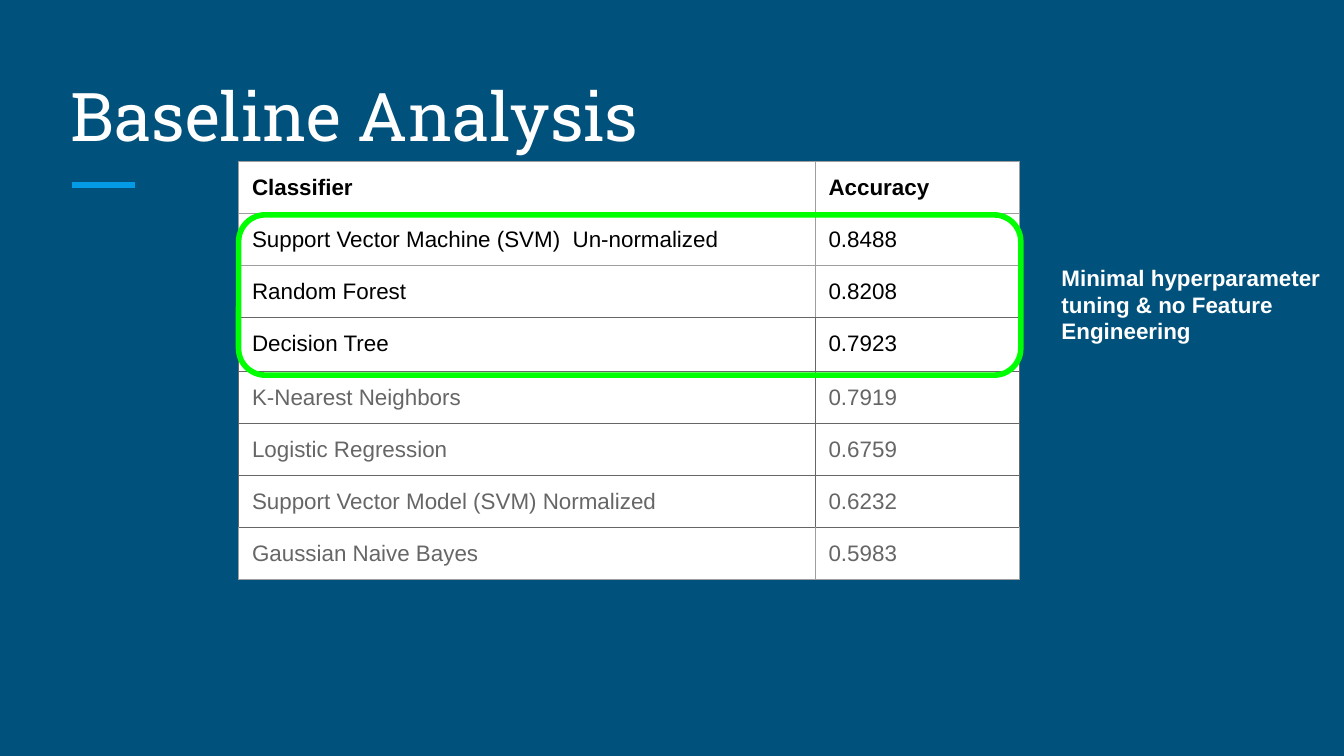
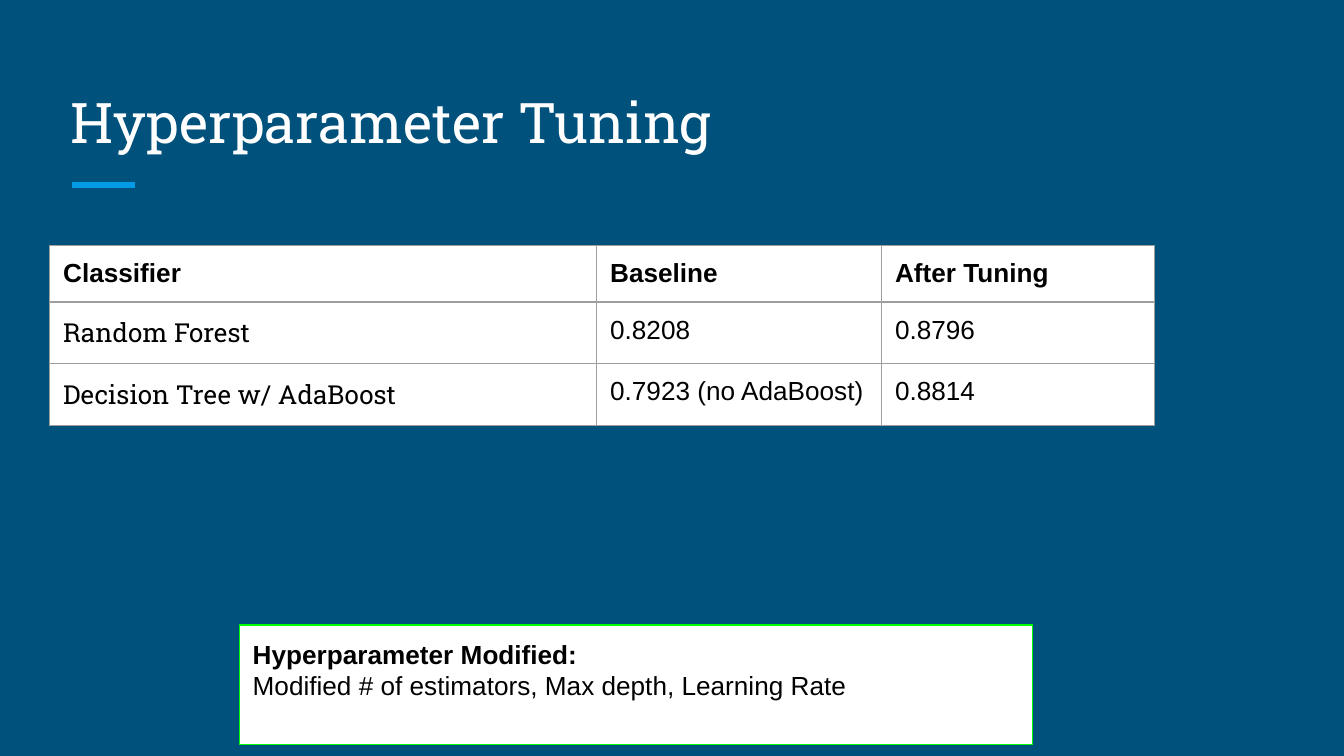
from dataclasses import dataclass

from lxml import etree
from pptx import Presentation
from pptx.dml.color import RGBColor
from pptx.enum.shapes import MSO_CONNECTOR, MSO_SHAPE
from pptx.enum.text import MSO_ANCHOR, MSO_AUTO_SIZE, PP_ALIGN
from pptx.oxml.ns import qn
from pptx.util import Inches, Pt

STRAIGHT = MSO_CONNECTOR.STRAIGHT
RECT, ROUNDED = MSO_SHAPE.RECTANGLE, MSO_SHAPE.ROUNDED_RECTANGLE
TOP, BOTTOM = MSO_ANCHOR.TOP, MSO_ANCHOR.BOTTOM
LEFT = PP_ALIGN.LEFT
NO_FIT = MSO_AUTO_SIZE.NONE


@dataclass(frozen=True)
class Theme:
    """Colours, fonts, type sizes and line widths of the deck."""
    back: str = "00517C"
    accent: str = "039BE5"
    highlight: str = "00FF00"
    white: str = "FFFFFF"
    black: str = "000000"
    muted: str = "666666"
    border: str = "9E9E9E"
    head_font: str = "Roboto Slab"
    body_font: str = "Arial"
    title: int = 36
    title_small: int = 30
    body: int = 14
    body_small: int = 12
    thin: float = 0.75
    thick: float = 3


T = Theme()
INSET = Inches(0.1)

prs = Presentation()
prs.slide_width = Inches(10)
prs.slide_height = prs.slide_width * 9 // 16


def box(left, top, width, height):
    """Turn percentages of the slide into left, top, width and height."""
    w, h = prs.slide_width, prs.slide_height
    return [int(v * side / 100)
            for v, side in ((left, w), (top, h), (width, w), (height, h))]


def add_run(p, text, size, color, bold=False, font=T.body_font):
    """Add one formatted run to a left-aligned paragraph."""
    p.alignment = LEFT
    r = p.add_run()
    r.text = text
    r.font.name, r.font.size, r.font.bold = font, Pt(size), bold
    r.font.color.rgb = RGBColor.from_string(color)


# Shared background and title position
fill = prs.slide_master.background.fill
fill.solid()
fill.fore_color.rgb = RGBColor.from_string(T.back)
layout = prs.slide_layouts[5]
title = layout.placeholders[0]
title.left, title.top, title.width, title.height = box(4.25, 8.9, 91.5, 13.33)

# Each table row: fill in the cells, text colour, top and bottom border
baseline_rows = [
    (("Classifier ", "Accuracy"), T.black, T.border, T.border),
    (("Support Vector Machine (SVM)  Un-normalized", "0.8488"),
     T.black, T.border, T.border),
    (("Random Forest", "0.8208"), T.black, T.border, T.muted),
    (("Decision Tree", "0.7923"), T.black, T.muted, T.muted),
    (("K-Nearest Neighbors", "0.7919"), T.muted, T.muted, T.muted),
    (("Logistic Regression", "0.6759"), T.muted, T.muted, T.muted),
    (("Support Vector Model (SVM) Normalized", "0.6232"),
     T.muted, T.muted, T.muted),
    (("Gaussian Naive Bayes", "0.5983"), T.muted, T.muted, T.border),
]
tuning_rows = [
    (cells, T.black, T.border, T.border) for cells in (
        ("Classifier", "Baseline", "After Tuning"),
        ("Random Forest", "0.8208", "0.8796"),
        ("Decision Tree w/ AdaBoost", "0.7923 (no AdaBoost)", "0.8814"))
]

# Title, its size, table corner, column widths, row heights, cell size,
# font of the first column, rows
pages = [
    ("Baseline Analysis", T.title, (17.75, 21.36), (42.9, 15.2),
     [6.85] * 3 + [7.12] + [6.85] * 4, T.body_small, T.body_font,
     baseline_rows),
    ("Hyperparameter Tuning", T.title_small, (3.7, 32.5), (40.7, 21.2, 20.3),
     [7.36, 8.15, 8.15], T.body, T.head_font, tuning_rows),
]

slides = []
for heading, size, corner, widths, heights, cell_size, name_font, rows in pages:
    s = prs.slides.add_slide(layout)
    slides.append(s)

    x, y, w, _ = box(5.36, 24.48, 4.68, 0)
    rule = s.shapes.add_connector(STRAIGHT, x, y, x + w, y)
    rule.line.color.rgb = RGBColor.from_string(T.accent)
    rule.line.width = Pt(T.thick)
    etree.SubElement(rule._element.spPr, qn("a:effectLst"))

    tf = s.shapes.title.text_frame
    tf.vertical_anchor, tf.auto_size, tf.word_wrap = BOTTOM, NO_FIT, True
    tf.margin_left = tf.margin_right = INSET
    tf.margin_top = tf.margin_bottom = INSET
    add_run(tf.paragraphs[0], heading, size, T.white, font=T.head_font)

    table = s.shapes.add_table(len(rows), len(widths),
                               *box(*corner, sum(widths), sum(heights))).table
    table.first_row = table.horz_banding = False
    for column, share in zip(table.columns, widths):
        column.width = box(0, 0, share, 0)[2]
    for row, share in zip(table.rows, heights):
        row.height = box(0, 0, 0, share)[3]

    for i, (texts, color, above, below) in enumerate(rows):
        side = T.muted if above == below == T.muted else T.border
        for j, text in enumerate(texts):
            cell = table.cell(i, j)
            cell.margin_left = cell.margin_right = INSET
            cell.margin_top = cell.margin_bottom = INSET
            cell.fill.solid()
            cell.fill.fore_color.rgb = RGBColor.from_string(T.white)
            font = name_font if i and j == 0 else T.body_font
            add_run(cell.text_frame.paragraphs[0], text, cell_size, color,
                    bold=i == 0, font=font)
            tc_pr = cell._tc.get_or_add_tcPr()
            edges = (("a:lnL", side), ("a:lnR", side),
                     ("a:lnT", above), ("a:lnB", below))
            for k, (tag, line_color) in enumerate(edges):
                ln = etree.Element(qn(tag), w=str(int(Pt(T.thin))))
                solid = etree.SubElement(ln, qn("a:solidFill"))
                etree.SubElement(solid, qn("a:srgbClr"), val=line_color)
                tc_pr.insert(k, ln)

baseline, tuning = slides

# Baseline: frame around the three best classifiers, and a remark
frame = baseline.shapes.add_shape(ROUNDED, *box(17.75, 28.42, 58.2, 21.2))
frame.shadow.inherit = False
frame.fill.background()
frame.line.color.rgb = RGBColor.from_string(T.highlight)
frame.line.width = Pt(T.thick)
remark = baseline.shapes.add_textbox(*box(78, 33.13, 25.4, 58.3))

# Tuning: panel with the modified settings
panel = tuning.shapes.add_shape(RECT, *box(17.82, 82.67, 59, 15.8))
panel.shadow.inherit = False
panel.fill.solid()
panel.fill.fore_color.rgb = RGBColor.from_string(T.white)
panel.line.color.rgb = RGBColor.from_string(T.highlight)
panel.line.width = Pt(T.thin)

notes = [
    (remark, T.body_small, T.white,
     [("Minimal hyperparameter tuning & no Feature Engineering", True)]),
    (panel, T.body, T.black,
     [("Hyperparameter Modified:", True),
      ("Modified # of estimators, Max depth, Learning Rate", False)]),
]
for sp, size, color, lines in notes:
    tf = sp.text_frame
    tf.word_wrap, tf.vertical_anchor = True, TOP
    tf.margin_left = tf.margin_right = INSET
    tf.margin_top = tf.margin_bottom = INSET
    for n, (text, bold) in enumerate(lines):
        p = tf.add_paragraph() if n else tf.paragraphs[0]
        add_run(p, text, size, color, bold)

prs.save("out.pptx")
